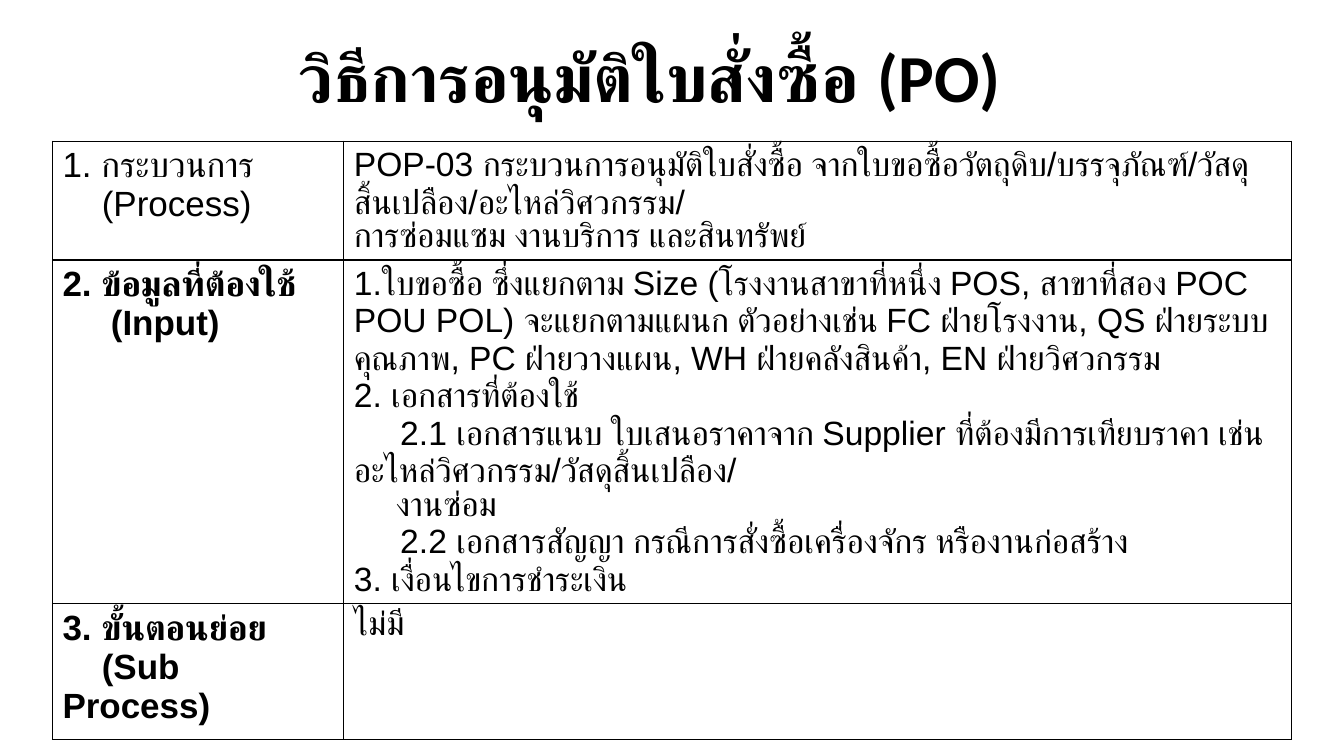
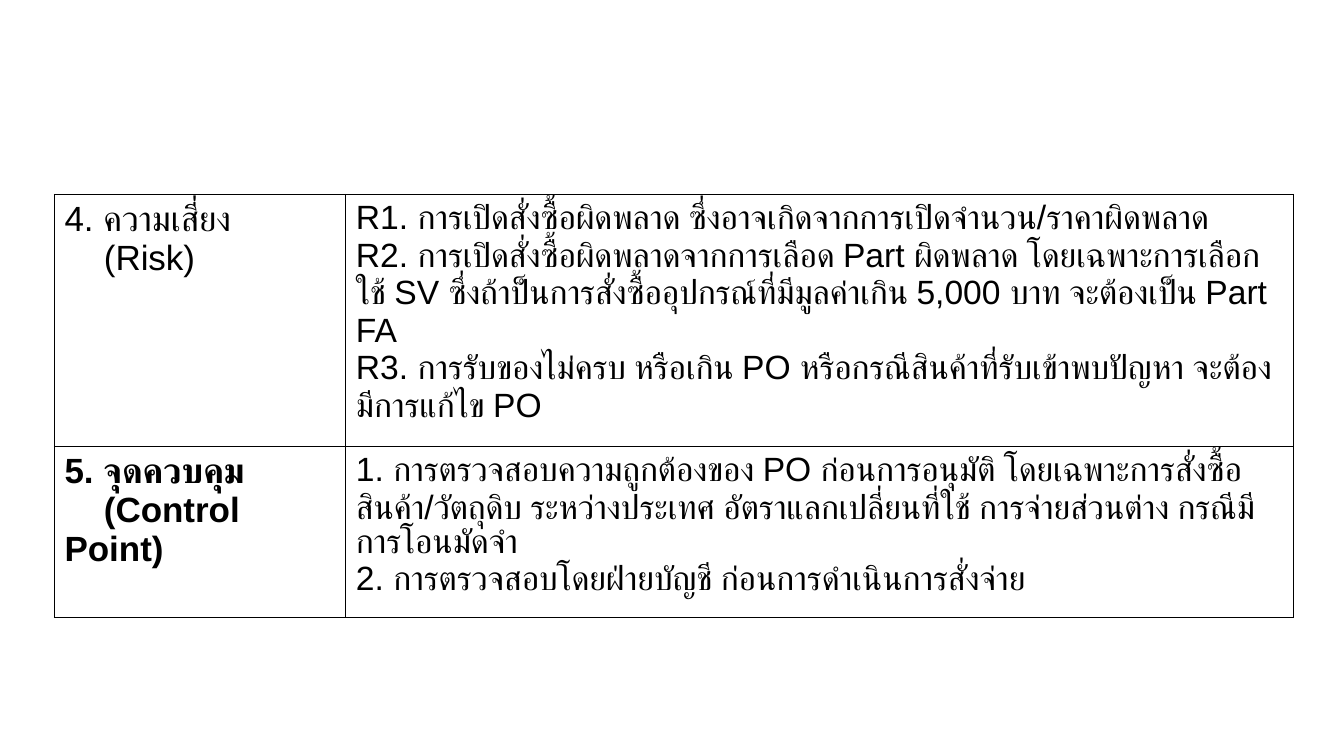
from dataclasses import dataclass

from lxml import etree
from pptx import Presentation
from pptx.dml.color import RGBColor
from pptx.enum import text
from pptx.oxml.ns import qn
from pptx.util import Inches, Pt

BLACK = "000000"
COLUMN_WIDTHS = (2.89, 9.4)
BORDER_SIDES = ("a:lnL", "a:lnR", "a:lnT", "a:lnB")
LABEL_INDENT = 0.39
DETAIL_INDENT = 0.46


@dataclass
class Line:
    words: str
    indent: float = 0


@dataclass
class Row:
    height: float
    label: list[Line]
    details: list[Line]
    bold: bool = False


def color(value: str) -> RGBColor:
    return RGBColor.from_string(value)


def format_font(font, **values) -> None:
    font.color.rgb = color(BLACK)
    for name, value in values.items():
        setattr(font, name, value)


def add_borders(cell) -> None:
    properties = cell._tc.get_or_add_tcPr()
    for position, side in enumerate(BORDER_SIDES):
        border = etree.Element(qn(side), w=str(Pt(1)))
        fill = etree.SubElement(border, qn("a:solidFill"))
        etree.SubElement(fill, qn("a:srgbClr"), val=BLACK)
        properties.insert(position, border)


def fill_cell(cell, lines: list[Line], size: float, bold: bool) -> None:
    cell.fill.background()
    add_borders(cell)
    frame = cell.text_frame
    for number, line in enumerate(lines):
        para = frame.add_paragraph() if number else frame.paragraphs[0]
        # Only the first line is indented; wrapped lines return to the margin
        if line.indent:
            properties = para._p.get_or_add_pPr()
            properties.set("marL", "0")
            properties.set("indent", str(Inches(line.indent)))
        span = para.add_run()
        span.text = line.words
        format_font(span.font, name="Arial", size=Pt(size), bold=bold)


def add_process_table(page, left: float, top: float, rows: list[Row]) -> None:
    frame = page.shapes.add_table(
        len(rows), len(COLUMN_WIDTHS), Inches(left), Inches(top),
        Inches(sum(COLUMN_WIDTHS)), Inches(sum(row.height for row in rows)))
    table = frame.table
    table.first_row = table.horz_banding = False
    for column, width in zip(table.columns, COLUMN_WIDTHS):
        column.width = Inches(width)
    for number, row in enumerate(rows):
        table.rows[number].height = Inches(row.height)
        fill_cell(table.cell(number, 0), row.label, 25, row.bold)
        fill_cell(table.cell(number, 1), row.details, 24, False)


def set_title(page, words: str) -> None:
    box = page.shapes.title
    box.left, box.top = Inches(0.66), Inches(0.3)
    box.width, box.height = Inches(11.57), Inches(0.91)
    frame = box.text_frame
    frame.word_wrap = True
    frame.auto_size = text.MSO_AUTO_SIZE.NONE
    frame.vertical_anchor = text.MSO_ANCHOR.TOP
    para = frame.paragraphs[0]
    para.alignment = text.PP_ALIGN.CENTER
    span = para.add_run()
    span.text = words
    format_font(span.font, name="Calibri", size=Pt(48), bold=True)


PROCESS_ROWS = [
    Row(1.18,
        [Line("1. กระบวนการ"), Line("(Process)", LABEL_INDENT)],
        [Line("POP-03 กระบวนการอนุมัติใบสั่งซื้อ จากใบขอซื้อวัตถุดิบ/บรรจุภัณฑ์/"
              "วัสดุสิ้นเปลือง/อะไหล่วิศวกรรม/"),
         Line("การซ่อมแซม งานบริการ และสินทรัพย์")]),
    Row(3.4,
        [Line("2. ข้อมูลที่ต้องใช้"), Line("(Input)", 0.48)],
        [Line("1.ใบขอซื้อ ซึ่งแยกตาม Size (โรงงานสาขาที่หนึ่ง POS, สาขาที่สอง POC POU POL) "
              "จะแยกตามแผนก ตัวอย่างเช่น FC ฝ่ายโรงงาน, QS ฝ่ายระบบคุณภาพ, "
              "PC ฝ่ายวางแผน, WH ฝ่ายคลังสินค้า, EN ฝ่ายวิศวกรรม"),
         Line("2. เอกสารที่ต้องใช้"),
         Line("2.1 เอกสารแนบ ใบเสนอราคาจาก Supplier ที่ต้องมีการเทียบราคา เช่น "
              "อะไหล่วิศวกรรม/วัสดุสิ้นเปลือง/", DETAIL_INDENT),
         Line("งานซ่อม", 0.42),
         Line("2.2 เอกสารสัญญา กรณีการสั่งซื้อเครื่องจักร หรืองานก่อสร้าง", DETAIL_INDENT),
         Line("3. เงื่อนไขการชำระเงิน")], bold=True),
    Row(1.35,
        [Line("3. ขั้นตอนย่อย"), Line("(Sub Process)", LABEL_INDENT)],
        [Line("ไม่มี")], bold=True),
]

CONTROL_ROWS = [
    Row(2.5,
        [Line("4. ความเสี่ยง"), Line("(Risk)", LABEL_INDENT)],
        [Line("R1. การเปิดสั่งซื้อผิดพลาด ซึ่งอาจเกิดจากการเปิดจำนวน/ราคาผิดพลาด"),
         Line("R2. การเปิดสั่งซื้อผิดพลาดจากการเลือด Part ผิดพลาด โดยเฉพาะการเลือกใช้ SV "
              "ซึ่งถ้าป็นการสั่งซื้ออุปกรณ์ที่มีมูลค่าเกิน 5,000 บาท จะต้องเป็น Part FA"),
         Line("R3. การรับของไม่ครบ หรือเกิน PO หรือกรณีสินค้าที่รับเข้าพบปัญหา "
              "จะต้องมีการแก้ไข PO")]),
    Row(1.7,
        [Line("5. จุดควบคุม"), Line("(Control Point)", LABEL_INDENT)],
        [Line("1. การตรวจสอบความถูกต้องของ PO ก่อนการอนุมัติ โดยเฉพาะการสั่งซื้อสินค้า/วัตถุดิบ "
              "ระหว่างประเทศ อัตราแลกเปลี่ยนที่ใช้ การจ่ายส่วนต่าง กรณีมีการโอนมัดจำ"),
         Line("2. การตรวจสอบโดยฝ่ายบัญชี ก่อนการดำเนินการสั่งจ่าย")], bold=True),
]


def main() -> None:
    deck = Presentation()
    deck.slide_width, deck.slide_height = Inches(13.33), Inches(7.5)

    # Process, input and sub process
    page = deck.slides.add_slide(deck.slide_layouts[5])
    set_title(page, "วิธีการอนุมัติใบสั่งซื้อ (PO)")
    add_process_table(page, 0.52, 1.4, PROCESS_ROWS)

    # Risk and control point
    page = deck.slides.add_slide(deck.slide_layouts[6])
    add_process_table(page, 0.54, 1.93, CONTROL_ROWS)

    deck.save("out.pptx")


if __name__ == "__main__":
    main()
